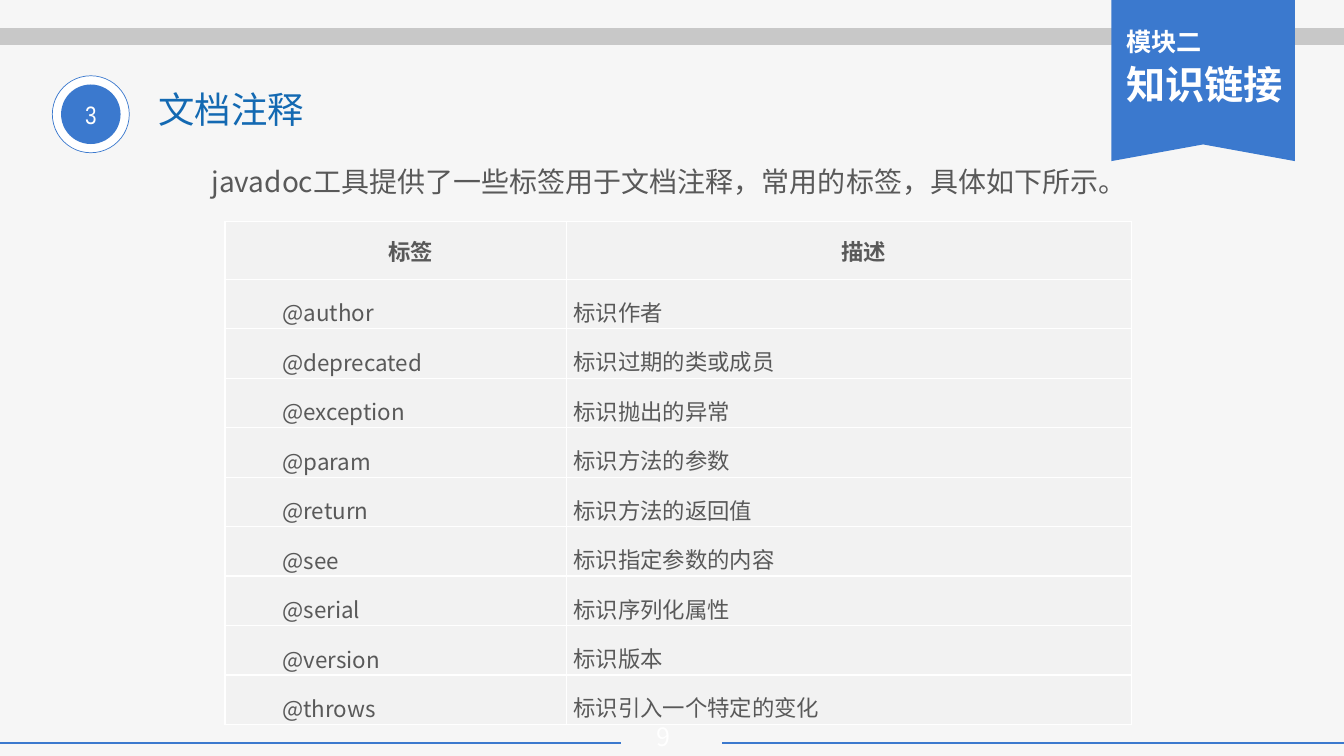
from lxml import etree
from pptx import Presentation
from pptx.dml.color import RGBColor
from pptx.enum.shapes import MSO_CONNECTOR, MSO_SHAPE
from pptx.enum.text import MSO_ANCHOR, MSO_AUTO_SIZE, PP_ALIGN
from pptx.oxml.ns import qn
from pptx.util import Cm, Pt

STRAIGHT = MSO_CONNECTOR.STRAIGHT
OVAL = MSO_SHAPE.OVAL
TOP, MIDDLE = MSO_ANCHOR.TOP, MSO_ANCHOR.MIDDLE
NO_AUTOFIT = MSO_AUTO_SIZE.NONE
LEFT, CENTER = PP_ALIGN.LEFT, PP_ALIGN.CENTER

FONT = "Noto Sans CJK SC"
NUMBER_FONT = "Arial Narrow"
BLUE, TITLE_BLUE, BAND_GRAY = "3B79CE", "1369B2", "C8C8C8"
WHITE, PAPER, CELL_GRAY, TEXT_GRAY = "FFFFFF", "F6F6F6", "F2F2F2", "595959"
SLIDE_W, SLIDE_H = 33.88, 19.05

TAGS = [
    ("标签", "描述"),
    ("@author", "标识作者"),
    ("@deprecated", "标识过期的类或成员"),
    ("@exception", "标识抛出的异常"),
    ("@param", "标识方法的参数"),
    ("@return", "标识方法的返回值"),
    ("@see", "标识指定参数的内容"),
    ("@serial", "标识序列化属性"),
    ("@version", "标识版本"),
    ("@throws", "标识引入一个特定的变化"),
]


def color(value):
    return RGBColor.from_string(value)


def style(paragraph, size, value, bold=False, font=FONT, align=LEFT):
    paragraph.alignment = align
    for run in paragraph.runs:
        run.font.size = Pt(size)
        run.font.bold = bold
        run.font.color.rgb = color(value)
        run.font.name = font
        latin = run.font._element.find(qn("a:latin"))
        east_asian = etree.Element(qn("a:ea"), typeface=font)
        latin.addnext(east_asian)


def paint(shape, fill, line=None):
    shape.shadow.inherit = False
    shape.fill.solid()
    shape.fill.fore_color.rgb = color(fill)
    if line:
        shape.line.color.rgb = color(line)
        shape.line.width = Pt(0.5)
    else:
        shape.line.fill.background()


def add_text(slide, left, top, width, height, text):
    frame = slide.shapes.add_textbox(Cm(left), Cm(top), Cm(width), Cm(height)).text_frame
    frame.word_wrap = True
    frame.text = text
    return frame


def add_rule(slide, start, end, y, value, width):
    rule = slide.shapes.add_connector(STRAIGHT, Cm(start), Cm(y), Cm(end), Cm(y))
    rule.line.color.rgb = color(value)
    rule.line.width = Pt(width)
    etree.SubElement(rule._element.spPr, qn("a:effectLst"))


def add_frame(slide, width, page):
    footer_y, gap_start, gap_end = 18.72, 15.65, 18.21
    add_rule(slide, gap_end, width, footer_y, BLUE, 1.77)
    add_rule(slide, 0, gap_start, footer_y, BLUE, 1.77)
    add_rule(slide, 0, width, 0.91, BAND_GRAY, 12)
    number = add_text(slide, gap_start, footer_y - 0.67, 2.13, 1, page)
    number.margin_top = number.margin_bottom = 0
    number.vertical_anchor = MIDDLE
    style(number.paragraphs[0], 18, WHITE, align=CENTER)


def add_ribbon(slide, left, top, width, height, module, section):
    outline = slide.shapes.build_freeform(Cm(left), Cm(top))
    outline.add_line_segments([
        (Cm(left + width), Cm(top)),
        (Cm(left + width), Cm(top + height)),
        (Cm(left + width / 2), Cm(top + height - 0.42)),
        (Cm(left), Cm(top + height)),
    ])
    paint(outline.convert_to_shape(), BLUE)
    label = add_text(slide, left + 0.12, top + 0.53, 4.52, 2.34, f"{module}\n{section}")
    for paragraph, size in zip(label.paragraphs, (18, 28)):
        paragraph.space_after = Pt(3)
        style(paragraph, size, WHITE, bold=True)


def add_heading(slide, left, top, size, number, text):
    inset = 0.22
    ring = slide.shapes.add_shape(OVAL, Cm(left), Cm(top), Cm(size), Cm(size))
    paint(ring, WHITE, BLUE)
    disc_size = Cm(size - 2 * inset)
    disc = slide.shapes.add_shape(OVAL, Cm(left + inset), Cm(top + inset), disc_size, disc_size)
    paint(disc, BLUE)
    disc.text_frame.text = number
    disc.text_frame.vertical_anchor = MIDDLE
    style(disc.text_frame.paragraphs[0], 18, WHITE, font=NUMBER_FONT, align=CENTER)

    title = slide.shapes.title
    title.left, title.top = Cm(left + 2.42), Cm(top + 0.23)
    title.width, title.height = Cm(9.68), Cm(1.2)
    title.text_frame.text = text
    title.text_frame.auto_size = NO_AUTOFIT
    title.text_frame.vertical_anchor = MIDDLE
    style(title.text_frame.paragraphs[0], 26, TITLE_BLUE)


def add_intro(slide, left, top, width, height, text):
    intro = add_text(slide, left, top, width, height, text).paragraphs[0]
    intro.line_spacing = 1.5
    style(intro, 20, TEXT_GRAY)


def add_borders(cell):
    properties = cell._tc.get_or_add_tcPr()
    for side in ("a:lnL", "a:lnR", "a:lnT", "a:lnB"):
        border = etree.SubElement(properties, qn(side), w=str(Pt(1)))
        fill = etree.SubElement(border, qn("a:solidFill"))
        etree.SubElement(fill, qn("a:srgbClr"), val=WHITE)


def fill_cell(cell, text, is_header, is_tag):
    add_borders(cell)
    cell.fill.solid()
    cell.fill.fore_color.rgb = color(CELL_GRAY)
    cell.margin_top = cell.margin_bottom = 0
    cell.margin_right = Cm(0.18)
    cell.margin_left = Cm(0.92 if is_header else 1.45 if is_tag else 0.18)
    cell.vertical_anchor = MIDDLE if is_header or is_tag else TOP
    cell.text_frame.text = text
    paragraph = cell.text_frame.paragraphs[0]
    if not is_header:
        paragraph.line_spacing = 1.5
    style(paragraph, 16, TEXT_GRAY, bold=is_header, align=CENTER if is_header else LEFT)


def add_tag_table(slide, left, top, width, height, rows):
    header_height, tag_width = 1.45, 8.61
    row_height = (height - header_height) / (len(rows) - 1)
    table = slide.shapes.add_table(
        len(rows), 2, Cm(left), Cm(top), Cm(width), Cm(height)).table
    table.horz_banding = False
    table.columns[0].width = Cm(tag_width)
    table.columns[1].width = Cm(width - tag_width)
    for row, texts in enumerate(rows):
        table.rows[row].height = Cm(row_height if row else header_height)
        for column, text in enumerate(texts):
            fill_cell(table.cell(row, column), text, row == 0, column == 0)


def main():
    deck = Presentation()
    deck.slide_width, deck.slide_height = Cm(SLIDE_W), Cm(SLIDE_H)
    slide = deck.slides.add_slide(deck.slide_layouts.get_by_name("Title Only"))
    slide.background.fill.solid()
    slide.background.fill.fore_color.rgb = color(PAPER)
    add_frame(slide, SLIDE_W, "9")
    add_ribbon(slide, 28.02, 0, 4.62, 4.06, "模块二", "知识链接")
    add_heading(slide, 1.32, 1.91, 1.94, "3", "文档注释")
    add_intro(slide, 5.08, 3.61, 25.1, 1.52,
              "javadoc工具提供了一些标签用于文档注释，常用的标签，具体如下所示。")
    add_tag_table(slide, 5.67, 5.59, 22.86, 12.67, TAGS)
    deck.save("out.pptx")


if __name__ == "__main__":
    main()
